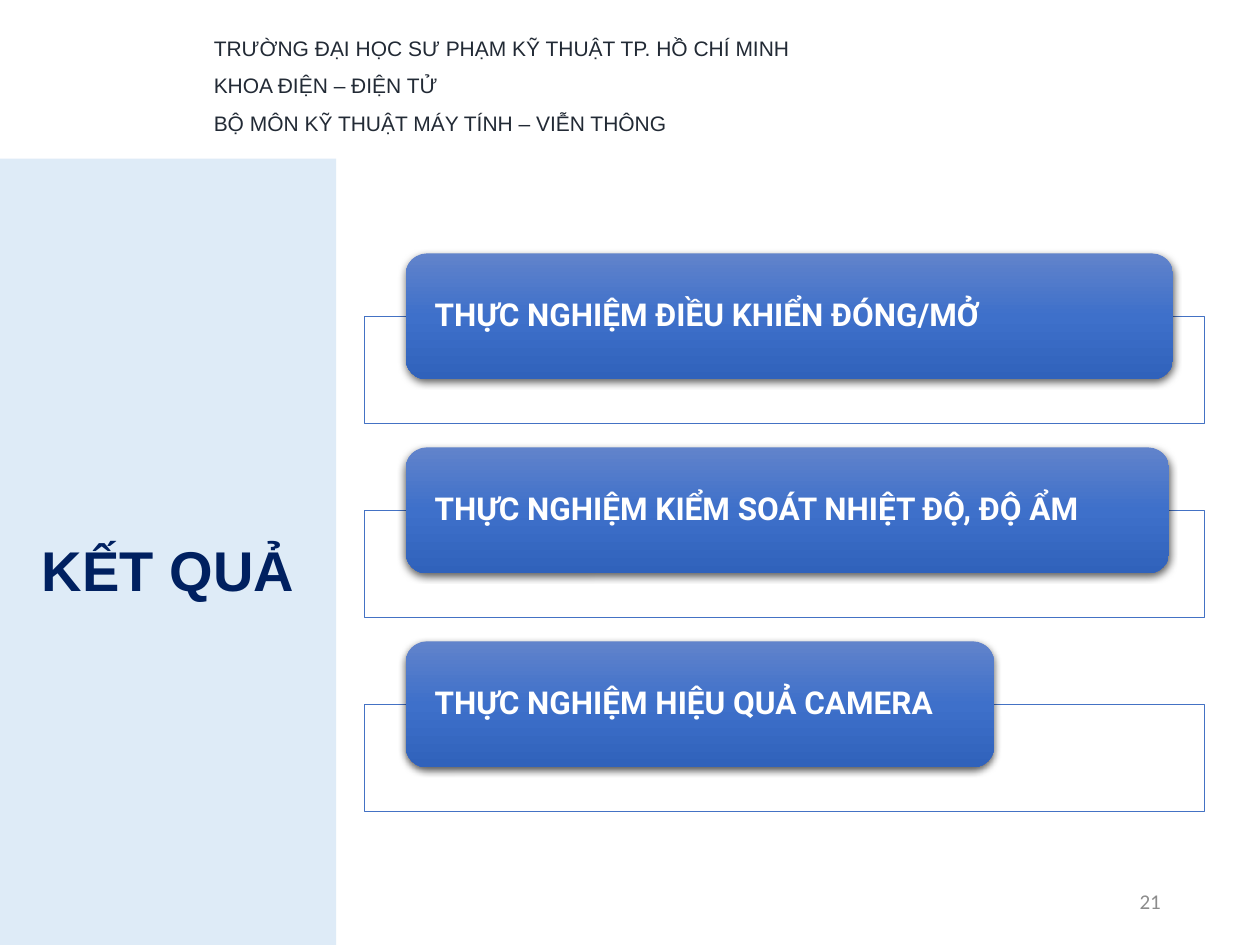
from copy import deepcopy

from lxml.etree import SubElement
from pptx import Presentation
from pptx.dml.color import RGBColor
from pptx.enum.shapes import MSO_SHAPE
from pptx.enum.text import MSO_ANCHOR, PP_ALIGN
from pptx.oxml.ns import qn
from pptx.util import Cm, Pt

HEADER = [
    "TRƯỜNG ĐẠI HỌC SƯ PHẠM KỸ THUẬT TP. HỒ CHÍ MINH",
    "KHOA ĐIỆN – ĐIỆN TỬ",
    "BỘ MÔN KỸ THUẬT MÁY TÍNH – VIỄN THÔNG",
]
EXPERIMENTS = [
    ("THỰC NGHIỆM ĐIỀU KHIỂN ĐÓNG/MỞ", 15.47),
    ("THỰC NGHIỆM KIỂM SOÁT NHIỆT ĐỘ, ĐỘ ẨM", 15.39),
    ("THỰC NGHIỆM HIỆU QUẢ CAMERA", 11.86),
]
GRADIENT = [(0, "6183CB"), (0.5, "3E70CA"), (1, "3062BB")]


def rgb(value):
    return RGBColor.from_string(value)


def add_alpha(color, percent):
    SubElement(color, qn("a:alpha"), val=str(percent * 1000))


def add_box(s, kind, x, y, w, h):
    sp = s.shapes.add_shape(kind, Cm(x), Cm(y), Cm(w), Cm(h))
    sp.shadow.inherit = False
    sp.line.fill.background()
    return sp


def write(tf, lines, size, font, color, bold=False, align=PP_ALIGN.LEFT,
          spacing=1.0, anchor=MSO_ANCHOR.MIDDLE):
    tf.word_wrap = True
    tf.vertical_anchor = anchor
    for i, line in enumerate(lines):
        p = tf.paragraphs[0] if i == 0 else tf.add_paragraph()
        p.alignment = align
        p.line_spacing = spacing
        r = p.add_run()
        r.text = line
        r.font.size = Pt(size)
        r.font.name = font
        r.font.bold = bold
        r.font.color.rgb = rgb(color)


def add_text(s, x, y, w, h, lines, *style, **options):
    tb = s.shapes.add_textbox(Cm(x), Cm(y), Cm(w), Cm(h))
    write(tb.text_frame, lines, *style, **options)


def fill_gradient(sp, colors):
    sp.fill.gradient()
    sp.fill.gradient_angle = 270
    first = sp._element.spPr.find(".//" + qn("a:gs"))
    for _ in colors[2:]:
        first.addnext(deepcopy(first))
    for stop, (position, color) in zip(sp.fill.gradient_stops, colors):
        stop.position = position
        stop.color.rgb = rgb(color)


def add_shadow(sp):
    effects = sp._element.spPr.find(qn("a:effectLst"))
    shadow = SubElement(effects, qn("a:outerShdw"), blurRad=str(Pt(4.5)),
                        dist=str(Pt(1.5)), dir="5400000", algn="ctr",
                        rotWithShape="0")
    add_alpha(SubElement(shadow, qn("a:srgbClr"), val="000000"), 63)


def add_title_panel(s, x, y, w, h):
    sp = add_box(s, MSO_SHAPE.RECTANGLE, x, y, w, h)
    sp.fill.solid()
    sp.fill.fore_color.rgb = rgb("DEEBF7")
    write(sp.text_frame, ["KẾT QUẢ"], 32, "Arial", "002060", bold=True,
          align=PP_ALIGN.CENTER, spacing=1.5)


def add_experiment(s, x, y, w, h, label, label_w):
    frame = add_box(s, MSO_SHAPE.RECTANGLE, x, y + 1.27, w, h - 1.27)
    frame.fill.solid()
    frame.fill.fore_color.rgb = rgb("FFFFFF")
    add_alpha(frame._element.spPr.find(".//" + qn("a:srgbClr")), 90)
    frame.line.color.rgb = rgb("4472C4")
    frame.line.width = Pt(0.5)

    pill = add_box(s, MSO_SHAPE.ROUNDED_RECTANGLE, x + 0.84, y, label_w, 2.54)
    fill_gradient(pill, GRADIENT)
    add_shadow(pill)
    tf = pill.text_frame
    tf.margin_left = tf.margin_right = Cm(0.46)
    tf.margin_top = tf.margin_bottom = 0
    write(tf, [label], 18, "Roboto", "FFFFFF", bold=True, spacing=0.9)


def add_experiments(s, x, y, w, h):
    pitch, row_h = 3.91, h - 3.91 * (len(EXPERIMENTS) - 1)
    for i, (label, label_w) in enumerate(EXPERIMENTS):
        add_experiment(s, x, y + i * pitch, w, row_h, label, label_w)


def main():
    prs = Presentation()
    prs.slide_width, prs.slide_height = Cm(25.4), Cm(19.05)
    s = prs.slides.add_slide(prs.slide_layouts[6])
    add_title_panel(s, 0, 3.2, 6.78, 15.85)
    add_text(s, 4.06, 0.33, 21.06, 2.46, HEADER, 12, "Arial", "222A35",
             spacing=1.5, anchor=MSO_ANCHOR.TOP)
    add_experiments(s, 7.34, 5.11, 16.94, 11.25)
    add_text(s, 17.93, 17.65, 5.72, 1.02, ["21"], 12, "Calibri", "8C8C8C",
             align=PP_ALIGN.RIGHT)
    prs.save("out.pptx")


if __name__ == "__main__":
    main()
